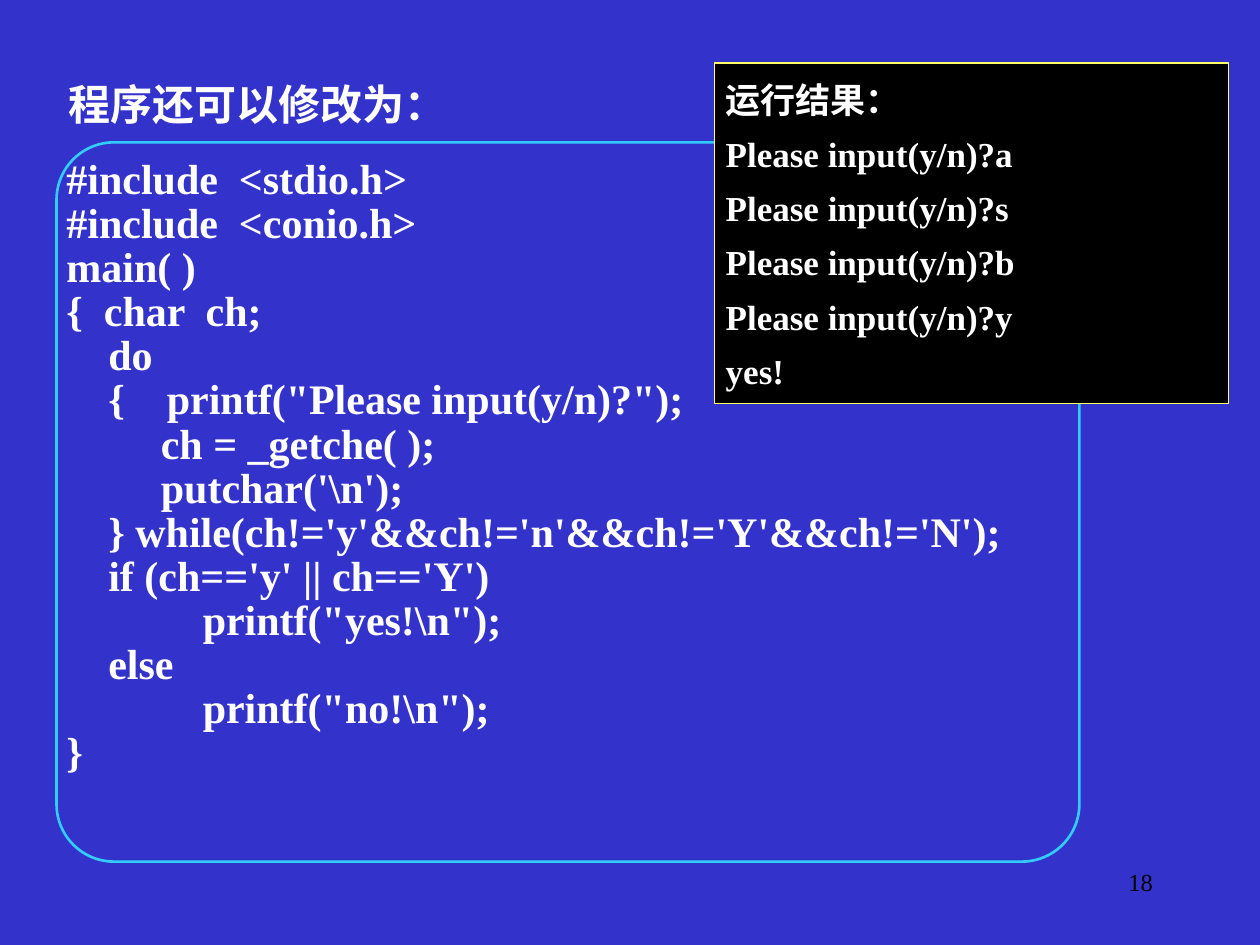
from pptx import Presentation, util as u
from pptx.dml.color import RGBColor
from pptx.enum import shapes, text

CODE = r"""#include  <stdio.h>
#include  <conio.h>
main( )
{  char  ch;
    do
    {    printf("Please input(y/n)?");
         ch = _getche( );
         putchar('\n');
    } while(ch!='y'&&ch!='n'&&ch!='Y'&&ch!='N');
    if (ch=='y' || ch=='Y')
             printf("yes!\n");
    else
             printf("no!\n");
}"""
RESULT = "\n".join(["运行结果：", *(f"Please input(y/n)?{key}" for key in "asby"), "yes!"])


def paint(color_format, value):
    color_format.rgb = RGBColor.from_string(value)


def add_text(page, place, content, size, color="FFFFFF", bold=True, gap=0, line=None, wrap=True):
    box = page.shapes.add_textbox(*map(u.Cm, place))
    box.text_frame.word_wrap = wrap
    box.text_frame.text = content
    for index, para in enumerate(box.text_frame.paragraphs):
        if index:
            para.space_before = u.Pt(gap)
        if line:
            para.line_spacing = u.Pt(line)
        for span in para.runs:
            span.font.name = "Times New Roman"
            span.font.size = u.Pt(size)
            span.font.bold = bold
            paint(span.font.color, color)
    return box


deck = Presentation()
deck.slide_width, deck.slide_height = u.Cm(25.4), u.Cm(19.05)
page = deck.slides.add_slide(deck.slide_layouts[6])
page.background.fill.solid()
paint(page.background.fill.fore_color, "3333CC")

add_text(page, (1.14, 1.45, 8.1, 1.27), "程序还可以修改为：", 24, wrap=False)
add_text(page, (1.09, 3.33, 22.28, 13.21), CODE, 24, gap=7.2, line=18)

kinds = shapes.MSO_SHAPE
for kind, place, fill, line, width in [
    (kinds.ROUNDED_RECTANGLE, (1.14, 2.87, 20.62, 14.5), None, "33CCFF", 1.5),
    (kinds.RECTANGLE, (14.4, 1.27, 10.36, 6.86), "000000", "FFFF66", 0.75),
]:
    frame = page.shapes.add_shape(kind, *map(u.Cm, place))
    frame.shadow.inherit = False
    if fill:
        frame.fill.solid()
        paint(frame.fill.fore_color, fill)
    else:
        frame.fill.background()
        frame.adjustments[0] = 0.08
    paint(frame.line.color, line)
    frame.line.width = u.Pt(width)

add_text(page, (14.38, 1.45, 10.36, 4.9), RESULT, 20, gap=7)
number = add_text(page, (18.21, 17.35, 5.28, 1.27), "18", 14, color="000000", bold=False)
number.text_frame.paragraphs[0].alignment = text.PP_ALIGN.RIGHT

deck.save("out.pptx")
